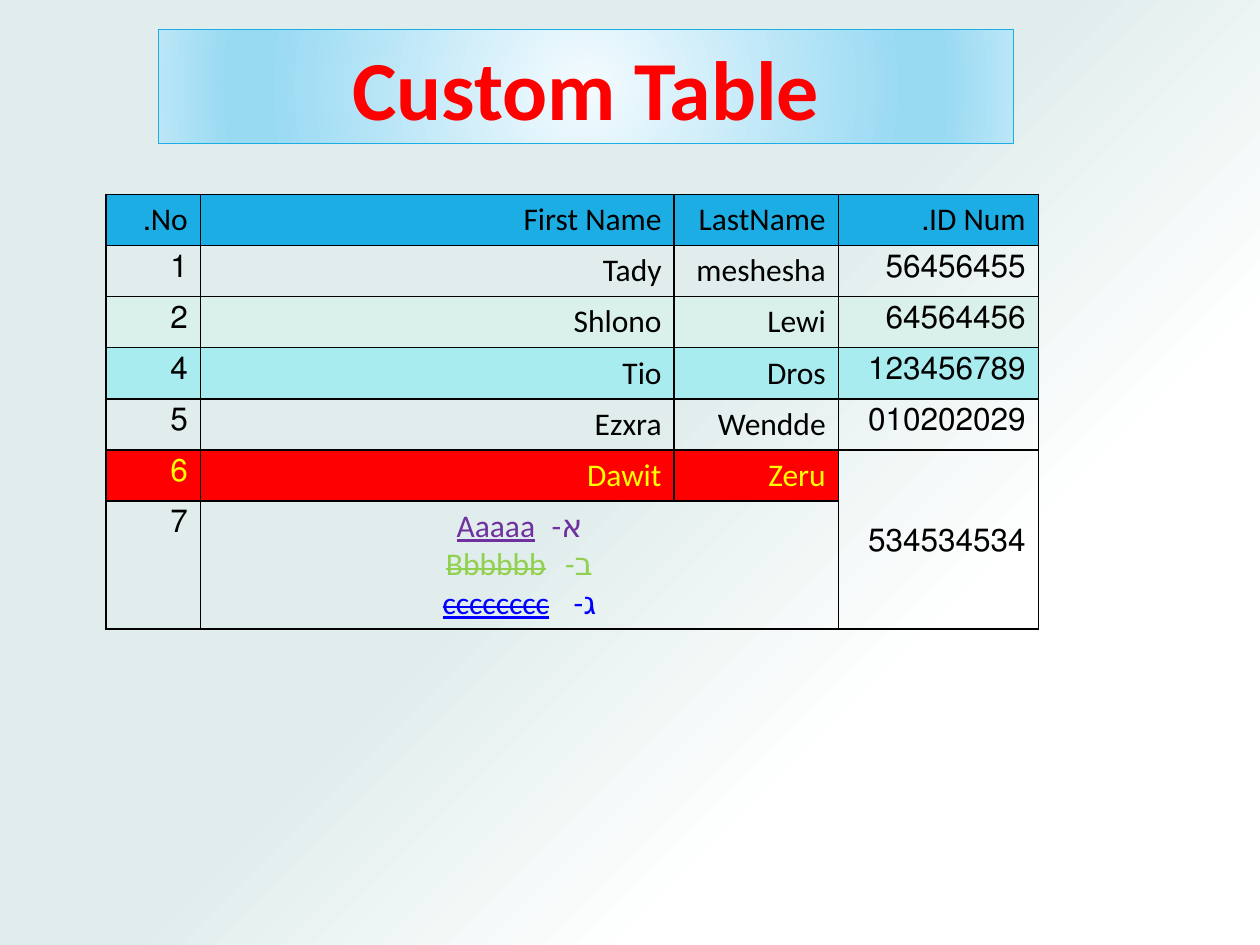
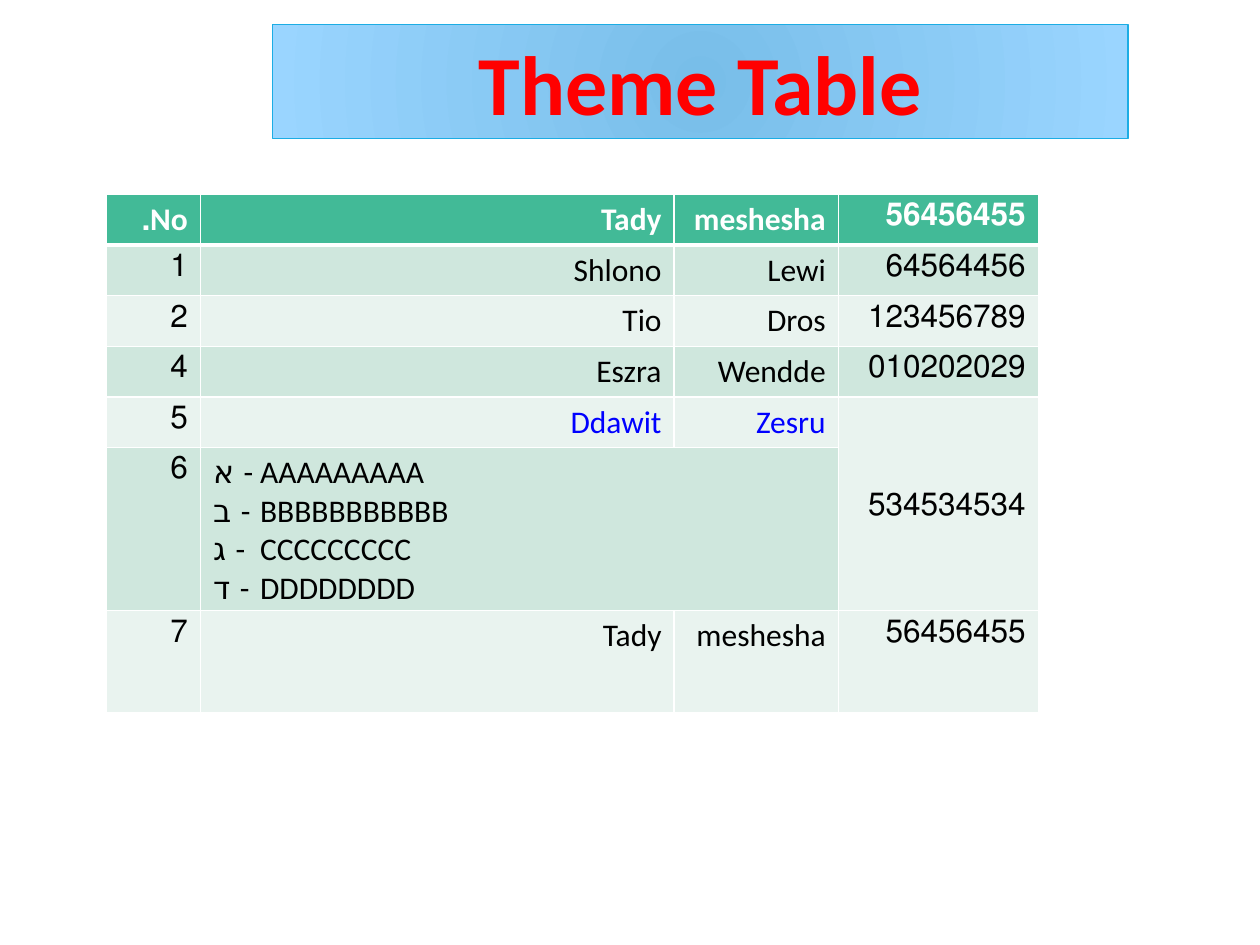
from lxml import etree
from pptx import Presentation
from pptx.dml.color import RGBColor
from pptx.enum import text
from pptx.oxml.ns import qn
from pptx.util import Cm, Pt

# Shared look
FACE = "Calibri"
BLACK, WHITE, RED, BLUE = "000000", "FFFFFF", "FF0000", "0000FF"
YELLOW, SKY, GREEN = "FFFF00", "1CADE4", "42BA97"
DARK, LIGHT = "CFE7DD", "E9F3EF"
COLS = (1.9, 9.55, 3.31, 4.03)
LEFT, TOP = 2.14, 3.92
BAND = (17.24, 2.3)
HANG = Cm(0.95)
MID = (50, 50, 50, 50)

# Content: a list in a cell spans the two name columns,
# and the ID in the row above it spans two rows
SLIDES = [
    dict(
        title="Custom Table", at=(3.19, 0.6),
        band=[(0, "F4FBFE"), (74, "99DAF3"), (83, "99DAF3"), (100, "BBE6F7")],
        back=[(28, WHITE), (52, "E0EDEC")],
        rows=[
            ("No.", "First Name", "LastName", "ID Num."),
            ("1", "Tady", "meshesha", "56456455"),
            ("2", "Shlono", "Lewi", "64564456"),
            ("4", "Tio", "Dros", "123456789"),
            ("5", "Ezxra", "Wendde", "010202029"),
            ("6", "Dawit", "Zeru", "534534534"),
            ("7", [("Aaaaa", "7030A0", True, False),
                   ("Bbbbbb", "92D050", False, True),
                   ("cccccccc", BLUE, True, True)], None, None),
        ],
        tall=[1.03] * 6 + [2.58],
        fills=[SKY, None, "D9F1EA", "A8ECEF", None, RED, None],
        bare=(5, 3),
        inks={(5, 0): YELLOW, (5, 1): YELLOW, (5, 2): YELLOW},
        edge=BLACK, head=False, rtl=True),
    dict(
        title="Theme Table", at=(5.5, 0.5),
        band=[(0, "78BEE9"), (100, "9AD5FF")],
        back=None,
        rows=[
            ("No.", "Tady", "meshesha", "56456455"),
            ("1", "Shlono", "Lewi", "64564456"),
            ("2", "Tio", "Dros", "123456789"),
            ("4", "Eszra", "Wendde", "010202029"),
            ("5", "Ddawit", "Zesru", "534534534"),
            ("6", [(name, BLACK, False, False) for name in
                   ("AAAAAAAAA", "BBBBBBBBBBB", "CCCCCCCCC", "DDDDDDDD")],
             None, None),
            ("7", "Tady", "meshesha", "56456455"),
        ],
        tall=[1.02] * 5 + [3.29, 2.06],
        fills=[GREEN] + [DARK, LIGHT] * 3,
        bare=None,
        inks={(0, c): WHITE for c in range(4)} | {(4, 1): BLUE, (4, 2): BLUE},
        edge=WHITE, head=True, rtl=False),
]


def rgb(code):
    return RGBColor.from_string(code)


def add(host, tag, **attrs):
    return etree.SubElement(host, qn(tag), {k: str(v) for k, v in attrs.items()})


def blend(fill, host, stops, to):
    """Fill with a circular gradient; `to` is left, top, right, bottom in %."""
    fill.gradient()
    grad = next(host.iter(qn("a:gradFill")))
    for part in list(grad):
        grad.remove(part)
    group = add(grad, "a:gsLst")
    for pos, code in stops:
        add(add(group, "a:gs", pos=pos * 1000), "a:srgbClr", val=code)
    path = add(grad, "a:path", path="circle")
    add(path, "a:fillToRect", **{k: v * 1000 for k, v in zip("ltrb", to)})


def edges(cell, code, base):
    props = cell._tc.get_or_add_tcPr()
    for i, side in enumerate("LRTB"):
        width = base if side == "B" else 1
        line = add(props, f"a:ln{side}", w=Pt(width))
        add(add(line, "a:solidFill"), "a:srgbClr", val=code)
        props.insert(i, line)


def style(par, size, ink, bold=False):
    font = par.font
    font.name, font.size, font.bold = FACE, Pt(size), bold
    font.color.rgb = rgb(ink)
    return font


def write(par, words, ink, bold=False):
    """A right-to-left cell line."""
    par.text = words
    par.alignment = text.PP_ALIGN.RIGHT
    par._p.get_or_add_pPr().set("rtl", "1")
    style(par, 18, ink, bold)


def letter(frame, items, rtl):
    """A list numbered with Hebrew letters."""
    for i, (words, ink, under, strike) in enumerate(items):
        par = frame.add_paragraph() if i else frame.paragraphs[0]
        par.text = words
        props = par._p.get_or_add_pPr()
        props.set("marL", str(HANG))
        props.set("indent", str(-HANG))
        props.set("rtl", str(int(rtl)))
        add(props, "a:buAutoNum", type="hebrew2Minus")
        if rtl:
            par.alignment = text.PP_ALIGN.CENTER
        style(par, 18, ink).underline = under
        if strike:
            props.find(qn("a:defRPr")).set("strike", "sngStrike")


def grid(slide, data):
    rows = data["rows"]
    frame = slide.shapes.add_table(
        len(rows), len(COLS), Cm(LEFT), Cm(TOP),
        Cm(sum(COLS)), Cm(sum(data["tall"])))
    table = frame.table
    table.first_row = table.horz_banding = False
    for col, wide in zip(table.columns, COLS):
        col.width = Cm(wide)
    for row, tall in zip(table.rows, data["tall"]):
        row.height = Cm(tall)
    for r, row in enumerate(rows):
        for c, words in enumerate(row):
            cell = table.cell(r, c)
            cell.margin_bottom = Cm(0.04)
            top = data["head"] and r == 0
            edges(cell, data["edge"], 3 if top else 1)
            if data["fills"][r] and (r, c) != data["bare"]:
                cell.fill.solid()
                cell.fill.fore_color.rgb = rgb(data["fills"][r])
            else:
                cell.fill.background()
            if isinstance(words, list):
                letter(cell.text_frame, words, data["rtl"])
                cell.merge(table.cell(r, c + 1))
                above = table.cell(r - 1, 3)
                above.merge(table.cell(r, 3))
                above.vertical_anchor = text.MSO_ANCHOR.MIDDLE
            elif words:
                ink = data["inks"].get((r, c), BLACK)
                write(cell.text_frame.paragraphs[0], words, ink, top)


def banner(slide, data):
    title = slide.shapes.title
    title.left, title.top = map(Cm, data["at"])
    title.width, title.height = map(Cm, BAND)
    blend(title.fill, title.element, data["band"], MID)
    title.line.color.rgb = rgb(SKY)
    title.line.width = Pt(0.75)
    title.text = data["title"]
    title.text_frame.vertical_anchor = text.MSO_ANCHOR.MIDDLE
    par = title.text_frame.paragraphs[0]
    par.alignment = text.PP_ALIGN.CENTER
    style(par, 48, RED, True)


def main():
    deck = Presentation()
    deck.slide_width, deck.slide_height = Cm(25.4), Cm(19.05)
    for data in SLIDES:
        slide = deck.slides.add_slide(deck.slide_layouts[5])
        fill = slide.background.fill
        if data["back"]:
            blend(fill, slide.element, data["back"], (100, 100, 0, 0))
        else:
            fill.solid()
            fill.fore_color.rgb = rgb(WHITE)
        grid(slide, data)
        banner(slide, data)
    deck.save("out.pptx")


if __name__ == "__main__":
    main()
